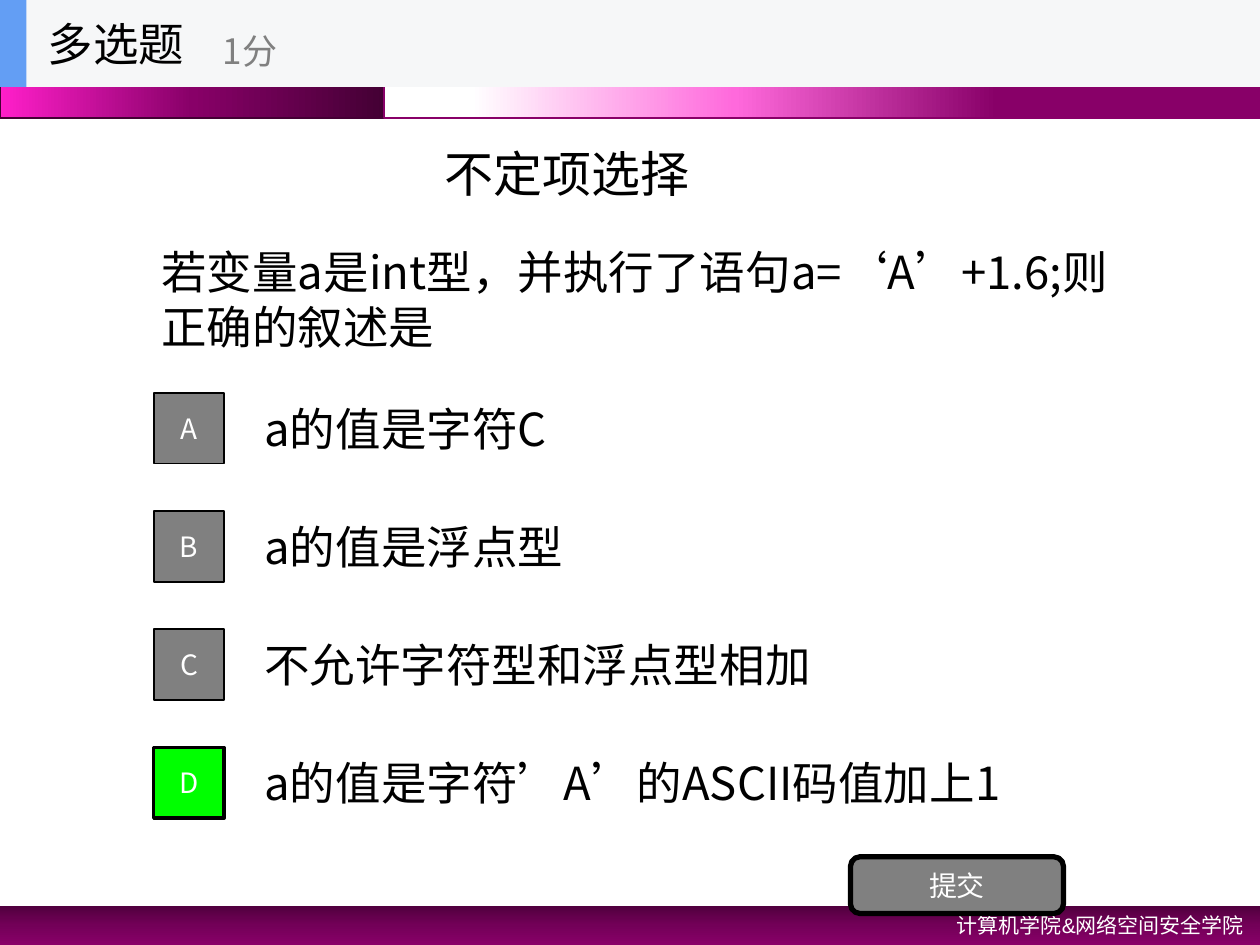
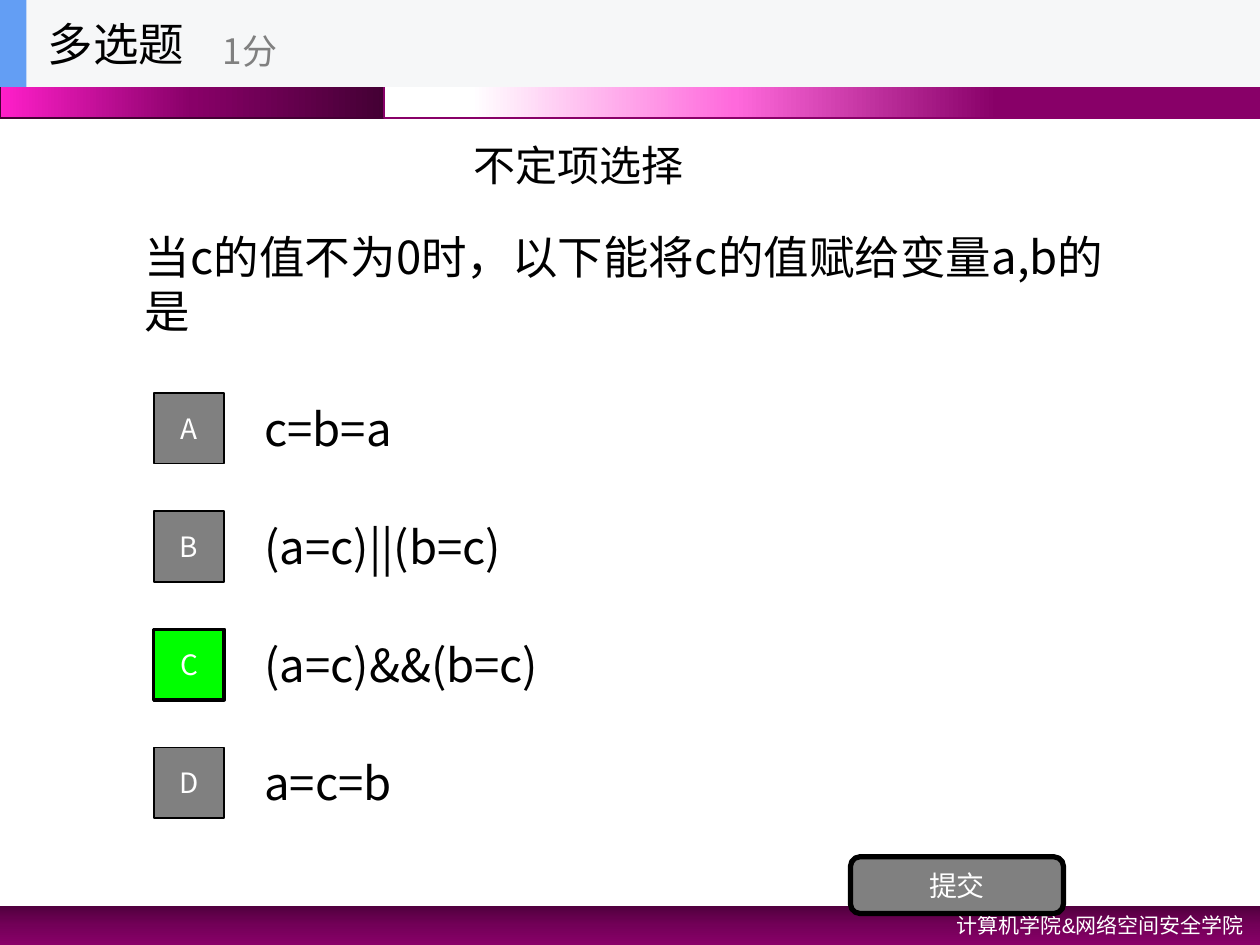
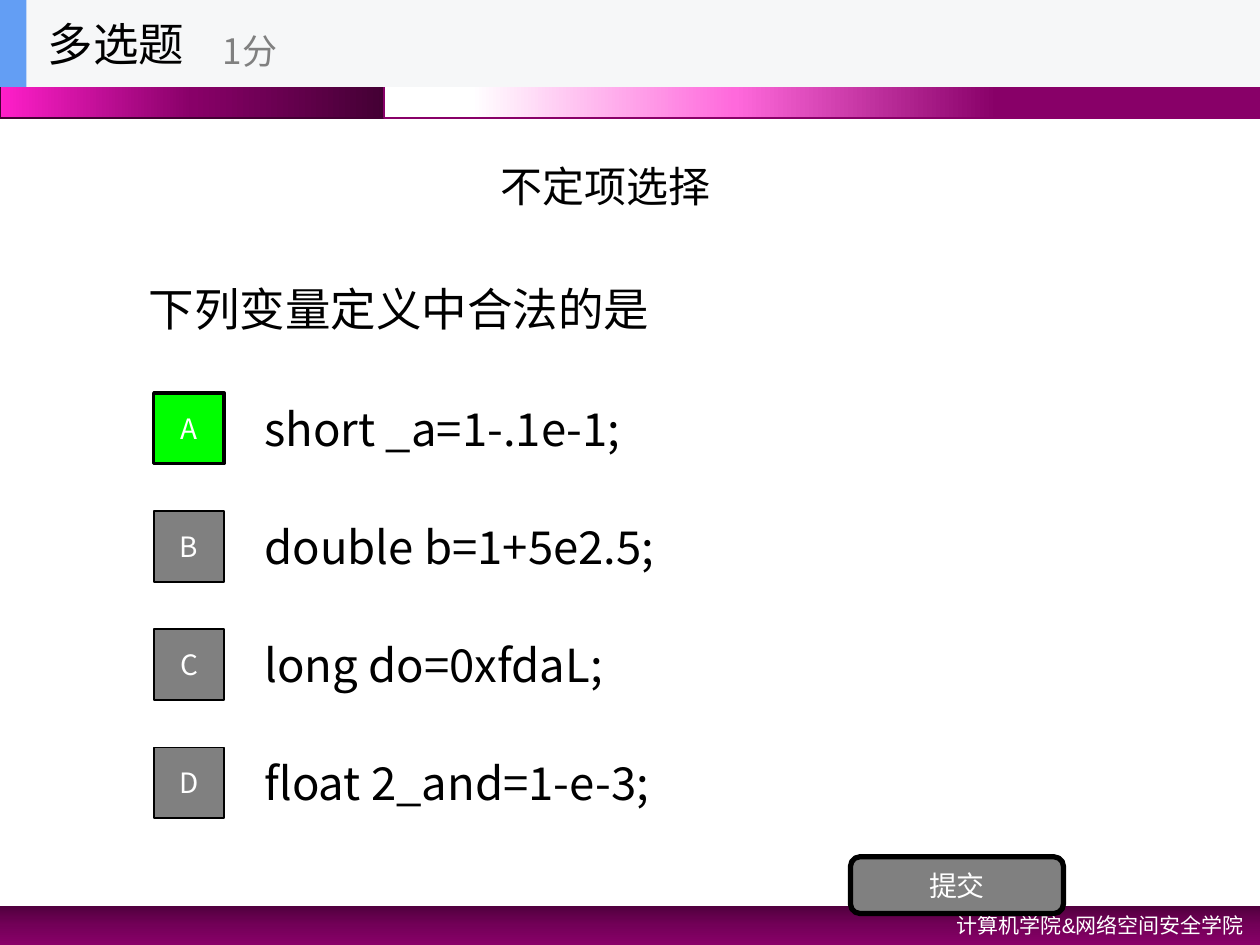
from dataclasses import dataclass

from lxml import etree
from pptx import Presentation
from pptx import util as u
from pptx.dml.color import RGBColor
from pptx.enum import shapes, text
from pptx.oxml.ns import qn

KIND, POINTS, SUBMIT = "多选题", "1分", "提交"
SCHOOL = "计算机学院&网络空间安全学院"
HEADING = "不定项选择"

QUIZ = [
    dict(question="若变量a是int型，并执行了语句a=‘A’+1.6;则正确的叙述是",
         options=["a的值是字符C", "a的值是浮点型", "不允许字符型和浮点型相加",
                  "a的值是字符’A’的ASCII码值加上1"],
         answer="D", heading_size=28,
         heading_box=(3.43, 1.09, 3.86, 0.57), question_at=(1.18, 1.2)),
    dict(question="当c的值不为0时，以下能将c的值赋给变量a,b的是",
         options=["c=b=a", "(a=c)||(b=c)", "(a=c)&&(b=c)", "a=c=b"],
         answer="C", heading_size=24,
         heading_box=(3.66, 1.06, 2.05, 0.5), question_at=(1.05, 1.08)),
    dict(question="下列变量定义中合法的是",
         options=["short _a=1-.1e-1;", "double b=1+5e2.5;",
                  "long do=0xfdaL;", "float 2_and=1-e-3;"],
         answer="A", heading_size=24,
         heading_box=(3.87, 1.22, 2.52, 0.5), question_at=(1.08, 1.28)),
]


@dataclass(frozen=True)
class Theme:
    sans: str = "Noto Sans CJK SC"
    latin: str = "Arial"
    ink: str = "000000"
    paper: str = "FFFFFF"
    grey: str = "808080"
    correct: str = "00FF00"
    header: str = "F6F7F8"
    accent: str = "639EF4"
    plum: str = "880068"
    dark_plum: str = "440034"
    footer_stops: tuple = ((0, "51003E"), (50, "730058"), (100, "880068"))
    left_stops: tuple = ((0, "440034"), (50, "880068"), (100, "FF1FCA"))
    right_stops: tuple = ((30, "880068"), (60, "FF69DC"), (90, "FFFFFF"))
    body: int = 26
    points: int = 20
    label: int = 16
    footer: int = 12


T = Theme()
WIDTH, HEIGHT = 10, 7.5
HEADER_H, BAND_H, BAND_SPLIT = 0.69, 0.94, 3.05
FOOTER_TOP = 7.19
ROW_TOP, ROW_PITCH, ROW_H = 3.05, HEIGHT / 8, 0.7
TILE = 0.56
RECT = shapes.MSO_SHAPE.RECTANGLE
ROUNDED = shapes.MSO_SHAPE.ROUNDED_RECTANGLE
MIDDLE, TOP = text.MSO_ANCHOR.MIDDLE, text.MSO_ANCHOR.TOP
LEFT, CENTER, RIGHT = text.PP_ALIGN.LEFT, text.PP_ALIGN.CENTER, text.PP_ALIGN.RIGHT


def inches(box):
    return [u.Inches(length) for length in box]


def write(shape, words, size, color=T.ink, font=T.sans, align=LEFT, anchor=MIDDLE, wrap=True):
    frame = shape.text_frame
    frame.text = words
    frame.word_wrap = wrap
    frame.auto_size = text.MSO_AUTO_SIZE.NONE
    frame.vertical_anchor = anchor
    paragraph = frame.paragraphs[0]
    paragraph.alignment = align
    paragraph.space_before = u.Pt(0)
    if shape.is_placeholder:
        props = paragraph._p.get_or_add_pPr()
        props.set("marL", "0")
        props.set("indent", "0")
        etree.SubElement(props, qn("a:buNone"))
    paragraph.font.size = u.Pt(size)
    paragraph.font.color.rgb = RGBColor.from_string(color)
    paragraph.font.name = font
    latin = paragraph._p.pPr.find(".//" + qn("a:latin"))
    latin.addnext(latin.makeelement(qn("a:ea"), {"typeface": T.sans}))


def label(parent, box, words, size, **style):
    caption = parent.add_textbox(*inches(box))
    write(caption, words, size, **style)
    return caption


def block(parent, box, fill=None, line=None, weight=1, kind=RECT):
    panel = parent.add_shape(kind, *inches(box))
    panel.shadow.inherit = False
    if fill:
        panel.fill.solid()
        panel.fill.fore_color.rgb = RGBColor.from_string(fill)
    if line:
        panel.line.color.rgb = RGBColor.from_string(line)
        panel.line.width = u.Pt(weight)
    else:
        panel.line.fill.background()
    return panel


def gradient_block(parent, box, stops, angle, line=None):
    band = block(parent, box, line=line)
    band.fill.gradient()
    band.fill.gradient_angle = angle
    stop_list = band.element.spPr.find(".//" + qn("a:gsLst"))
    for old in list(stop_list):
        stop_list.remove(old)
    for share, color in stops:
        stop = etree.SubElement(stop_list, qn("a:gs"), pos=str(share * 1000))
        etree.SubElement(stop, qn("a:srgbClr"), val=color)
    return band


def add_bands_to_master(deck, slide):
    drawn = [
        gradient_block(slide.shapes, (0, FOOTER_TOP, WIDTH, HEIGHT - FOOTER_TOP),
                       T.footer_stops, 270),
        gradient_block(slide.shapes, (0, 0, BAND_SPLIT, BAND_H),
                       T.left_stops, 180, T.dark_plum),
        gradient_block(slide.shapes, (BAND_SPLIT, 0, WIDTH - BAND_SPLIT, BAND_H),
                       T.right_stops, 180, T.plum),
        label(slide.shapes, (6.42, FOOTER_TOP, 3.55, 0.3), SCHOOL, T.footer,
              color=T.paper, font=T.latin, align=RIGHT, anchor=TOP),
    ]
    tree = deck.slide_master.shapes.element
    for number, part in enumerate(drawn):
        part.element.nvSpPr.cNvPr.set("id", str(100 + number))
        tree.insert(2 + number, part.element)


def add_header(slide):
    header = slide.shapes.add_group_shape().shapes
    block(header, (0, 0, WIDTH, HEADER_H), T.header)
    block(header, (0, 0, 0.21, HEADER_H), T.accent)
    label(header, (0.28, 0, 2.08, HEADER_H), KIND, T.body, wrap=False)
    label(header, (1.67, 0.12, 2.5, 0.56), POINTS, T.points, color=T.grey, wrap=False)


def add_option(slide, row, letter, words, correct):
    top = ROW_TOP + row * ROW_PITCH
    label(slide.shapes, (2, top, 7, ROW_H), words, T.body)
    tile = block(slide.shapes, (1.22, top + (ROW_H - TILE) / 2, TILE, TILE),
                 T.correct if correct else T.grey, T.ink, 2 if correct else 1)
    write(tile, letter, T.label, color=T.paper, align=CENTER)


def place(shape, box):
    shape.left, shape.top, shape.width, shape.height = inches(box)


def add_question(slide, item):
    heading, question = slide.shapes.title, slide.placeholders[1]
    place(heading, item["heading_box"])
    write(heading, HEADING, item["heading_size"], font=T.latin, anchor=TOP)
    place(question, (*item["question_at"], 8, 2.34))
    write(question, item["question"], T.body)
    for row, (letter, words) in enumerate(zip("ABCD", item["options"])):
        add_option(slide, row, letter, words, letter == item["answer"])
    submit = block(slide.shapes, (6.75, 6.8, 1.69, 0.45), T.grey, T.ink, 3, ROUNDED)
    write(submit, SUBMIT, T.label, color=T.paper, align=CENTER)
    add_header(slide)


def main():
    deck = Presentation()
    deck.slide_width, deck.slide_height = inches((WIDTH, HEIGHT))
    for number, item in enumerate(QUIZ):
        slide = deck.slides.add_slide(deck.slide_layouts[1])
        if number == 0:
            add_bands_to_master(deck, slide)
        add_question(slide, item)
    deck.save("out.pptx")


if __name__ == "__main__":
    main()
